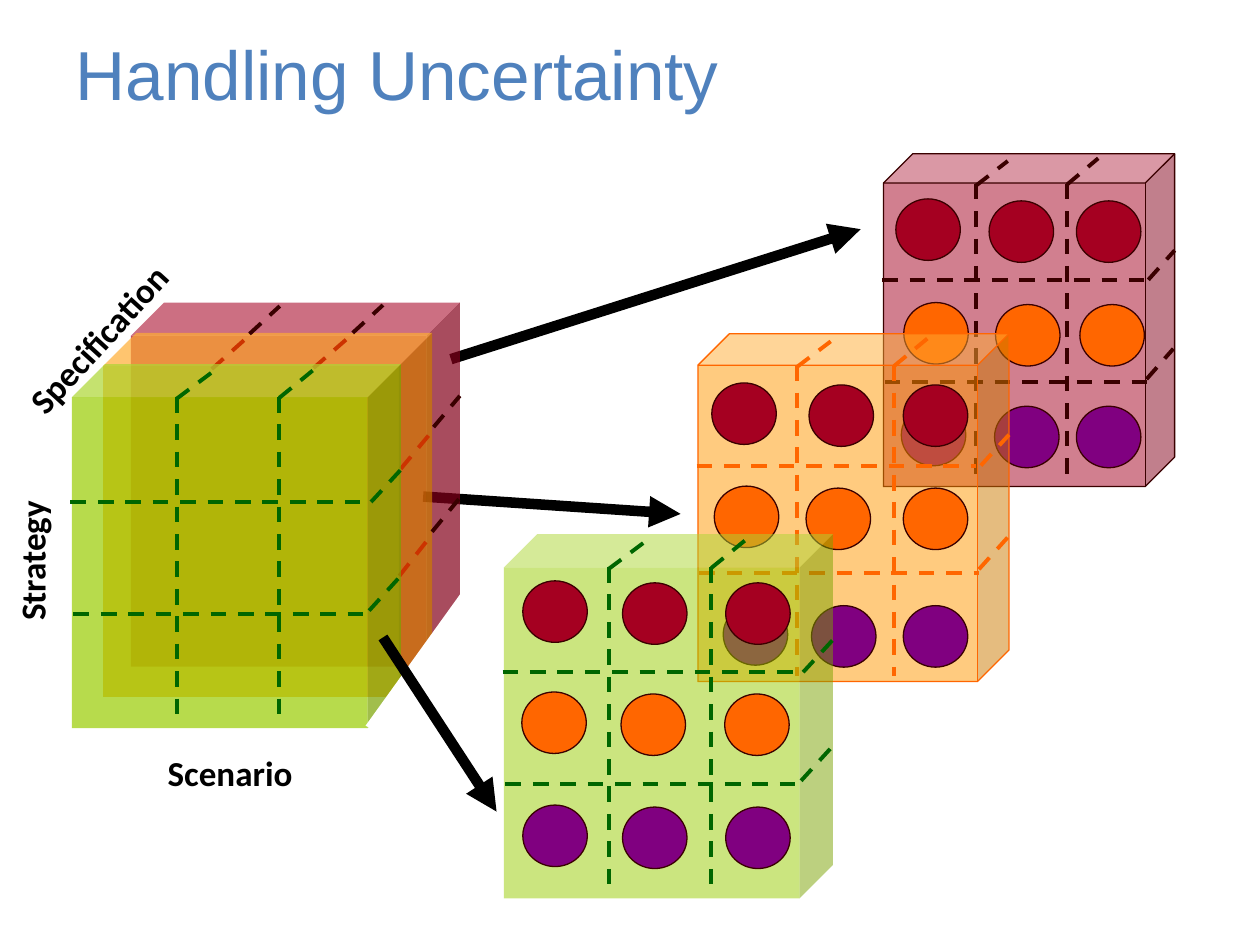
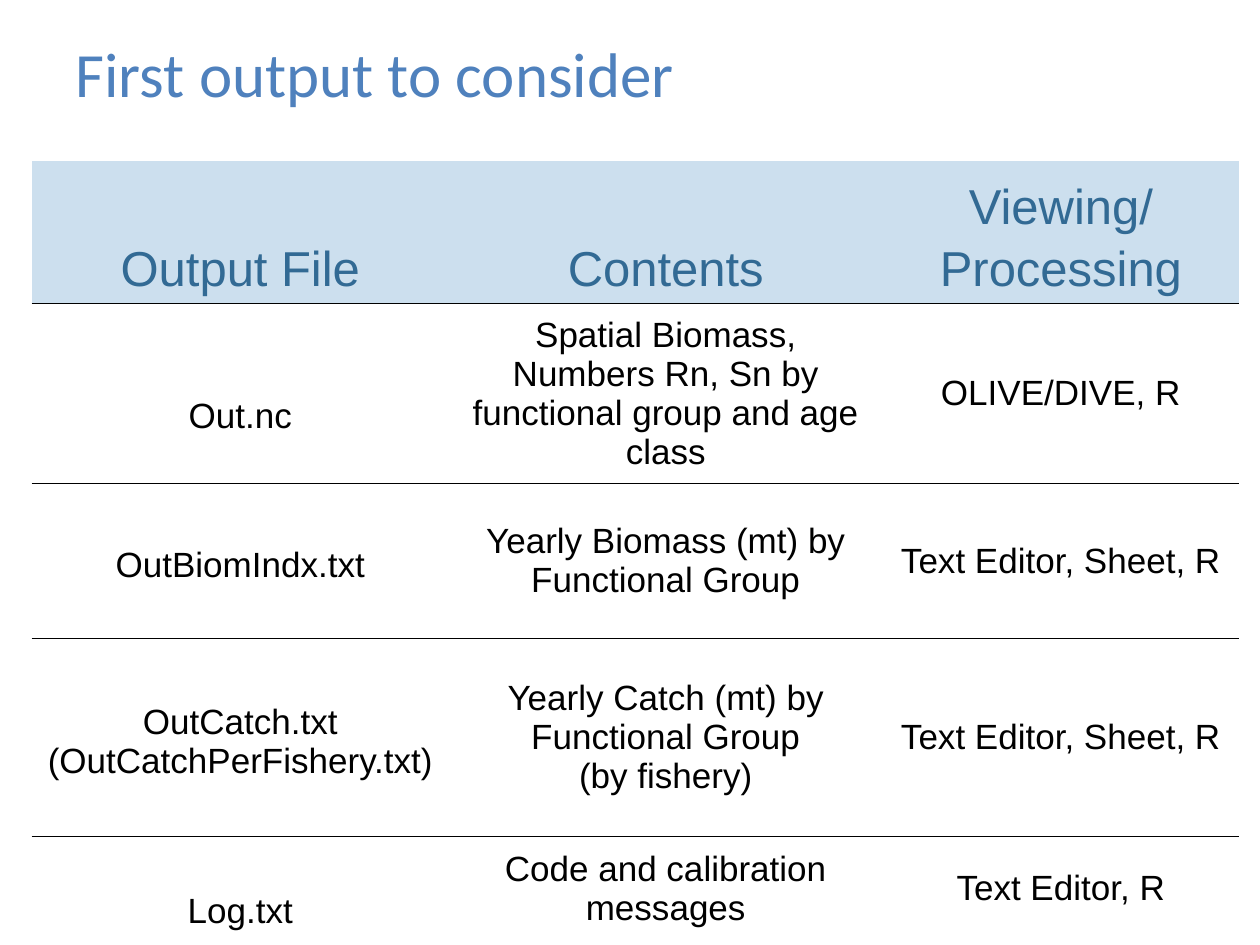
from dataclasses import dataclass
from typing import NamedTuple, Optional

from lxml import etree
from pptx import Presentation
from pptx import util as u
from pptx.dml import color as dml_color
from pptx.enum import dml, shapes, text
from pptx.oxml import ns

Cm, Pt = u.Cm, u.Pt


@dataclass(frozen=True)
class Theme:
    title: str = "4F81BD"
    header_text: str = "326A94"
    header_fill: str = "CCDFEE"
    black: str = "000000"
    white: str = "FFFFFF"
    crimson: str = "A50021"
    maroon: str = "3A0000"
    amber: str = "FF9900"
    orange: str = "FF6600"
    rust: str = "CC3300"
    lime: str = "99CC00"
    green: str = "006600"
    purple: str = "800080"
    sans: str = "Arial"
    label_font: str = "Calibri"
    header_size: float = 28
    body_size: float = 20
    thin: float = 0.75
    rule: float = 1
    dashed: float = 2.25
    arrow: float = 6


THEME = Theme()


class Cube(NamedTuple):
    left: float
    top: float
    width: float
    height: float
    fill: str
    opacity: int
    outline: Optional[str] = None


class Segment(NamedTuple):
    x1: float
    y1: float
    x2: float
    y2: float


class DotRow(NamedTuple):
    color: str
    top: float
    lefts: tuple[float, ...]


class Label(NamedTuple):
    words: str
    left: float
    top: float
    width: float
    indent: float
    inset: float
    rotation: float = 0


class OutputRow(NamedTuple):
    height: float
    texts: tuple[str, str, str]
    first_cell_top: float = 0.13


FULL_WIDTH, FULL_HEIGHT = 6.63, 7.34
CUBE_DEPTH = 0.101
GRID = (
    Segment(-0.03, 2.78, 5.93, 2.78),
    Segment(0.03, 5.04, 5.99, 5.04),
    Segment(6.03, 2.78, 6.63, 2.13),
    Segment(5.99, 4.97, 6.6, 4.3),
    Segment(4.18, 0.68, 4.89, 0.1),
    Segment(2.11, 0.7, 2.83, 0.16),
    Segment(2.11, 0.66, 2.11, 7.23),
    Segment(4.17, 0.66, 4.17, 7.23),
)
DOT_WIDTH, DOT_HEIGHT, DOT_STEP = 1.3, 1.24, 0.04

RED_CUBE = Cube(17.81, 3.1, 5.87, 6.71, THEME.crimson, 50, THEME.maroon)
RED_DOTS = (
    DotRow(THEME.crimson, 0.91, (0.25, 2.13, 3.89)),
    DotRow(THEME.orange, 3.0, (0.41, 2.26, 3.96)),
    DotRow(THEME.purple, 5.05, (0.36, 2.24, 3.89)),
)
ORANGE_CUBE = Cube(14.07, 6.73, 6.27, 7.01, THEME.amber, 50, THEME.orange)
ORANGE_DOTS = (
    DotRow(THEME.crimson, 0.99, (0.28, 2.24, 4.14)),
    DotRow(THEME.orange, 3.07, (0.33, 2.18, 4.14)),
    DotRow(THEME.purple, 5.44, (0.51, 2.29, 4.14)),
)
GREEN_CUBE = Cube(10.16, 10.77, FULL_WIDTH, FULL_HEIGHT, THEME.lime, 50)
GREEN_DOTS = (
    DotRow(THEME.crimson, 0.94, (0.38, 2.39, 4.47)),
    DotRow(THEME.orange, 3.18, (0.36, 2.36, 4.45)),
    DotRow(THEME.purple, 5.46, (0.38, 2.39, 4.47)),
)
STACK_BACK = Cube(2.64, 6.1, FULL_WIDTH, FULL_HEIGHT, THEME.crimson, 70)
STACK_MIDDLE = Cube(2.08, 6.71, FULL_WIDTH, FULL_HEIGHT, THEME.amber, 70)
STACK_FRONT = Cube(1.45, 7.34, FULL_WIDTH, FULL_HEIGHT, THEME.lime, 70)
STACK_EDGES = {
    THEME.rust: (
        Segment(8.08, 9.45, 8.74, 8.66),
        Segment(8.05, 11.61, 8.71, 10.77),
        Segment(6.32, 7.42, 7.11, 6.73),
        Segment(4.27, 7.44, 5.03, 6.76),
    ),
    THEME.maroon: (
        Segment(8.74, 8.61, 9.27, 7.98),
        Segment(8.71, 10.72, 9.25, 10.06),
        Segment(7.11, 6.71, 7.72, 6.15),
        Segment(5.03, 6.73, 5.64, 6.17),
    ),
}
STACK_CORNER = ((7.37, 14.63), (9.6, 11.53), (9.91, 13.23), (8.05, 14.96))
ARROW_TO_RED = Segment(9.09, 7.24, 17.35, 4.62)
ARROW_TO_ORANGE = Segment(8.53, 10.01, 13.72, 10.36)
ARROW_TO_GREEN = Segment(7.72, 12.85, 10.01, 16.36)
AXIS_LABELS = (
    Label("Scenario", 2.34, 15.01, 4.32, 1.04, 0.13),
    Label("Strategy", -1.3, 10.72, 4.32, 1.04, 0.03, 270),
    Label("Specification", -1.14, 6.02, 6.81, 1.24, 0.13, 312.3),
)

COLUMN_WIDTHS = (8.41, 8.74, 7.19)
OUTPUT_ROWS = (
    OutputRow(2.87, ("Output File", "Contents", "Viewing/\nProcessing")),
    OutputRow(3.63, ("Out.nc",
                     "Spatial Biomass, Numbers Rn, Sn by functional group and age class",
                     "OLIVE/DIVE, R"), 1.05),
    OutputRow(3.12, ("OutBiomIndx.txt", "Yearly Biomass (mt) by Functional Group",
                     "Text Editor, Sheet, R"), 0.29),
    OutputRow(3.99, ("OutCatch.txt (OutCatchPerFishery.txt)",
                     "Yearly Catch (mt) by Functional Group\n(by fishery)",
                     "Text Editor, Sheet, R"), 0.29),
    OutputRow(2.11, ("Log.txt", "Code and calibration messages", "Text Editor, R"), 1.05),
)


def rgb(value: str) -> dml_color.RGBColor:
    return dml_color.RGBColor.from_string(value)


def add_run(paragraph, words: str, font: str, size: float, color: str, bold: bool = False) -> None:
    run = paragraph.add_run()
    run.text = words
    run.font.name = font
    run.font.size = Pt(size)
    run.font.bold = bold
    run.font.color.rgb = rgb(color)


def add_titled_slide(presentation, words: str, font: str, size: float):
    slide = presentation.slides.add_slide(presentation.slide_layouts[5])
    title = slide.shapes.title
    title.left, title.top, title.width, title.height = Cm(1.27), Cm(0.51), Cm(22.86), Cm(1.91)
    frame = title.text_frame
    frame.auto_size = text.MSO_AUTO_SIZE.NONE
    frame.vertical_anchor = text.MSO_ANCHOR.MIDDLE
    paragraph = frame.paragraphs[0]
    paragraph.alignment = text.PP_ALIGN.LEFT
    add_run(paragraph, words, font, size, THEME.title)
    return slide


def style_shape(shape, fill: str, outline: Optional[str] = None) -> None:
    shape.shadow.inherit = False
    shape.fill.solid()
    shape.fill.fore_color.rgb = rgb(fill)
    if outline:
        shape.line.color.rgb = rgb(outline)
        shape.line.width = Pt(THEME.thin)
    else:
        shape.line.fill.background()


def add_line(slide, segment: Segment, color: str, width: float, arrow: bool = False) -> None:
    connector = slide.shapes.add_connector(
        shapes.MSO_CONNECTOR.STRAIGHT, *(Cm(value) for value in segment))
    connector.line.color.rgb = rgb(color)
    connector.line.width = Pt(width)
    properties = connector.element.spPr
    if arrow:
        line = properties.find(ns.qn("a:ln"))
        etree.SubElement(line, ns.qn("a:tailEnd"), type="triangle")
    else:
        connector.line.dash_style = dml.MSO_LINE.DASH
    etree.SubElement(properties, ns.qn("a:effectLst"))


def add_cube(slide, cube: Cube) -> None:
    shape = slide.shapes.add_shape(
        shapes.MSO_SHAPE.CUBE, Cm(cube.left), Cm(cube.top), Cm(cube.width), Cm(cube.height))
    shape.adjustments[0] = CUBE_DEPTH
    style_shape(shape, cube.fill, cube.outline)
    fill = shape.element.spPr.find(ns.qn("a:solidFill"))
    etree.SubElement(fill[0], ns.qn("a:alpha"), val=str(cube.opacity * 1000))


def add_grid_cube(slide, cube: Cube, grid_color: str, dots: tuple[DotRow, ...] = ()) -> None:
    add_cube(slide, cube)
    across, down = cube.width / FULL_WIDTH, cube.height / FULL_HEIGHT
    for x1, y1, x2, y2 in GRID:
        segment = Segment(cube.left + x1 * across, cube.top + y1 * down,
                          cube.left + x2 * across, cube.top + y2 * down)
        add_line(slide, segment, grid_color, THEME.dashed)
    for row in dots:
        for column, left in enumerate(row.lefts):
            top = cube.top + row.top + (DOT_STEP if column else 0)
            dot = slide.shapes.add_shape(
                shapes.MSO_SHAPE.OVAL, Cm(cube.left + left), Cm(top), Cm(DOT_WIDTH), Cm(DOT_HEIGHT))
            style_shape(dot, row.color, THEME.maroon)


def add_label(slide, label: Label) -> None:
    box = slide.shapes.add_textbox(Cm(label.left), Cm(label.top), Cm(label.width), Cm(1.35))
    box.rotation = label.rotation
    frame = box.text_frame
    frame.word_wrap = True
    frame.margin_left = Cm(label.indent)
    frame.margin_top = frame.margin_bottom = Cm(label.inset)
    add_run(frame.paragraphs[0], label.words, THEME.label_font, THEME.body_size, THEME.black, True)


def add_corner_mask(slide) -> None:
    points = [(Cm(x), Cm(y)) for x, y in STACK_CORNER]
    builder = slide.shapes.build_freeform(*points[0])
    builder.add_line_segments(points[1:], close=True)
    style_shape(builder.convert_to_shape(), THEME.white)


def set_border(cell, side: str, color: Optional[str]) -> None:
    line = etree.SubElement(cell._tc.get_or_add_tcPr(), ns.qn(f"a:ln{side}"))
    if color:
        line.set("w", str(Pt(THEME.rule)))
        fill = etree.SubElement(line, ns.qn("a:solidFill"))
        etree.SubElement(fill, ns.qn("a:srgbClr"), val=color)
    else:
        etree.SubElement(line, ns.qn("a:noFill"))


def fill_cell(cell, words: str, header: bool, last: bool) -> None:
    for side, visible in (("L", False), ("R", False), ("T", not header), ("B", not last)):
        set_border(cell, side, THEME.black if visible else None)
    cell.fill.solid()
    cell.fill.fore_color.rgb = rgb(THEME.header_fill if header else THEME.white)
    cell.vertical_anchor = text.MSO_ANCHOR.BOTTOM if header else text.MSO_ANCHOR.MIDDLE
    size = THEME.header_size if header else THEME.body_size
    color = THEME.header_text if header else THEME.black
    for index, line in enumerate(words.split("\n")):
        paragraph = cell.text_frame.add_paragraph() if index else cell.text_frame.paragraphs[0]
        paragraph.alignment = text.PP_ALIGN.CENTER
        if header and index:
            paragraph.space_before = Pt(4.5)
        add_run(paragraph, line, THEME.sans, size, color)


def build_uncertainty_slide(presentation) -> None:
    slide = add_titled_slide(presentation, "Handling Uncertainty", THEME.sans, 39.6)
    add_grid_cube(slide, RED_CUBE, THEME.maroon, RED_DOTS)
    add_line(slide, ARROW_TO_RED, THEME.black, THEME.arrow, arrow=True)
    add_grid_cube(slide, ORANGE_CUBE, THEME.orange, ORANGE_DOTS)
    add_line(slide, ARROW_TO_ORANGE, THEME.black, THEME.arrow, arrow=True)
    add_grid_cube(slide, GREEN_CUBE, THEME.green, GREEN_DOTS)
    add_cube(slide, STACK_BACK)
    add_cube(slide, STACK_MIDDLE)
    for color, edges in STACK_EDGES.items():
        for edge in edges:
            add_line(slide, edge, color, THEME.dashed)
    add_grid_cube(slide, STACK_FRONT, THEME.green)
    add_corner_mask(slide)
    for label in AXIS_LABELS:
        add_label(slide, label)
    add_line(slide, ARROW_TO_GREEN, THEME.black, THEME.arrow, arrow=True)


def build_output_slide(presentation) -> None:
    slide = add_titled_slide(presentation, "First output to consider", THEME.label_font, 36)
    height = sum(row.height for row in OUTPUT_ROWS)
    table = slide.shapes.add_table(
        len(OUTPUT_ROWS), len(COLUMN_WIDTHS), Cm(0.64), Cm(3.25),
        Cm(sum(COLUMN_WIDTHS)), Cm(height)).table
    table.horz_banding = False
    for column, width in zip(table.columns, COLUMN_WIDTHS):
        column.width = Cm(width)
    for index, row in enumerate(OUTPUT_ROWS):
        table.rows[index].height = Cm(row.height)
        for column, words in enumerate(row.texts):
            fill_cell(table.cell(index, column), words, index == 0, index == len(OUTPUT_ROWS) - 1)
        table.cell(index, 0).margin_top = Cm(row.first_cell_top)


def main() -> None:
    presentation = Presentation()
    presentation.slide_width, presentation.slide_height = Cm(25.4), Cm(19.05)
    build_uncertainty_slide(presentation)
    build_output_slide(presentation)
    presentation.save("out.pptx")


if __name__ == "__main__":
    main()
